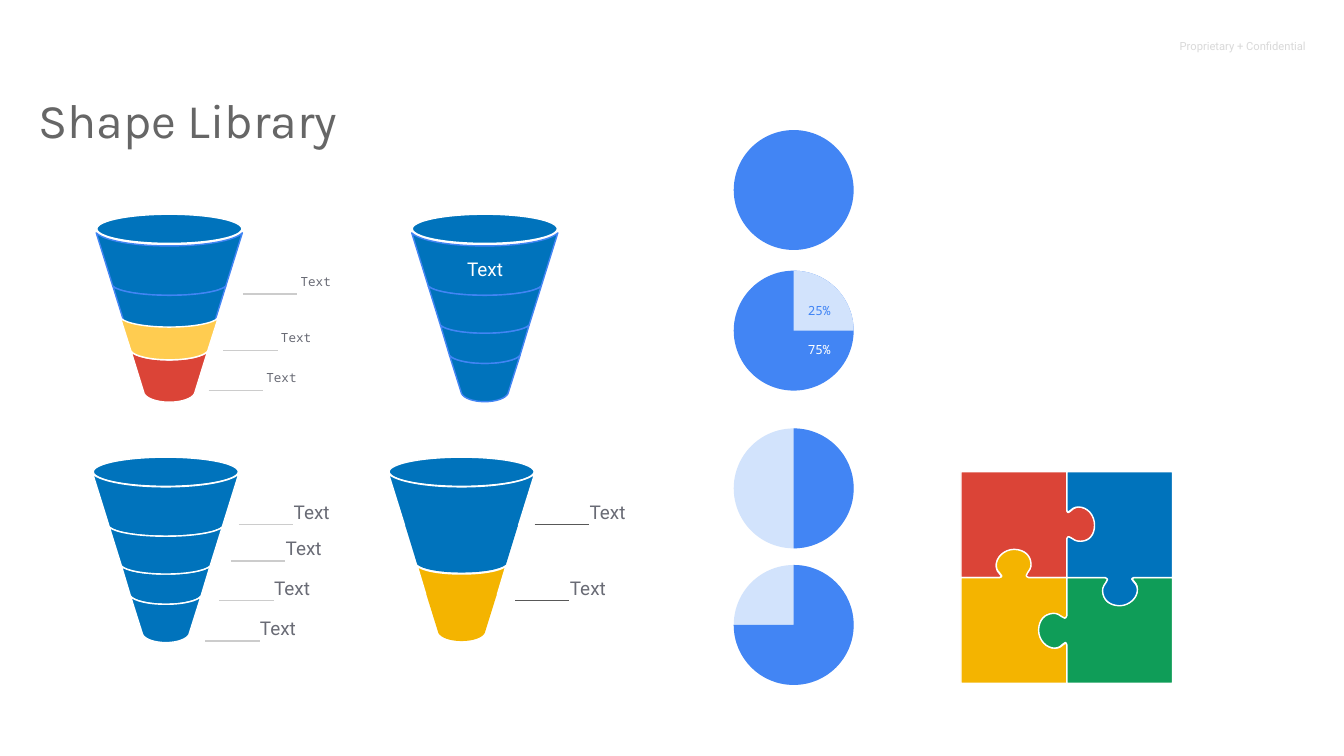
from pptx import Presentation
from pptx.dml.color import RGBColor
from pptx.enum.shapes import MSO_CONNECTOR, MSO_SHAPE
from pptx.enum.text import MSO_ANCHOR, MSO_AUTO_SIZE, PP_ALIGN
from pptx.oxml.ns import qn
from pptx.util import Inches, Pt
from lxml import etree

STRAIGHT, ELLIPSE = MSO_CONNECTOR.STRAIGHT, MSO_SHAPE.OVAL
TOP, MIDDLE = MSO_ANCHOR.TOP, MSO_ANCHOR.MIDDLE
LEFT, CENTER = PP_ALIGN.LEFT, PP_ALIGN.CENTER
NO_AUTOFIT = MSO_AUTO_SIZE.NONE
rgb = RGBColor.from_string

DEEP_BLUE, BLUE, PALE_BLUE = "0073BC", "4285F4", "D2E3FC"
RED, YELLOW, LIGHT_YELLOW, GREEN = "DB4437", "F4B400", "FFCC50", "0F9D58"
WHITE, GREY, LIGHT_GREY, DARK_GREY = "FFFFFF", "696B75", "CCCCCC", "585858"
SANS, MONO = "Roboto", "Noto Sans Mono"

prs = Presentation()
prs.slide_width, prs.slide_height = Inches(26.67), Inches(15)
slide = prs.slides.add_slide(prs.slide_layouts[5])
shapes = slide.shapes


def paint(shape, fill, line=None):
    shape.shadow.inherit = False
    shape.fill.solid()
    shape.fill.fore_color.rgb = rgb(fill)
    if line:
        shape.line.color.rgb = rgb(line)
        shape.line.width = Pt(2)
    else:
        shape.line.fill.background()


def outline(origin, start, segments, fill, line=None):
    """Draw a closed outline; a segment is an end point or a three-point curve."""
    def place(x, y):
        return Inches(origin[0] + x), Inches(origin[1] + y)

    builder = shapes.build_freeform(*place(*start))
    for segment in segments:
        builder.add_line_segments(
            [place(*segment[i:i + 2]) for i in range(0, len(segment), 2)], close=False)
    builder.add_line_segments([], close=True)
    shape = builder.convert_to_shape()
    steps = iter(list(shape.element.iter(qn("a:lnTo"))))
    for segment in segments:
        step = next(steps)
        if len(segment) == 6:
            step.tag = qn("a:cubicBezTo")
            for control in (next(steps), next(steps)):
                step.append(control[0])
                control.getparent().remove(control)
    paint(shape, fill, line)


# Title
title = shapes.title
title.left, title.top, title.width, title.height = map(Inches, (0.49, 1.52, 19.29, 2.2))
title_frame = title.text_frame
title_frame.text = "Shape Library"
title_frame.auto_size = NO_AUTOFIT
title_frame.vertical_anchor = TOP
title_frame.margin_left = title_frame.margin_right = Inches(0.27)
title_frame.margin_top = title_frame.margin_bottom = Inches(0.27)
heading = title_frame.paragraphs[0]
heading.alignment = LEFT
heading.font.name, heading.font.size = "Karla", Pt(69)
heading.font.color.rgb = rgb("666666")

# Funnel rings: half width, depth below the funnel's mouth, sag of the curve
MOUTH, UPPER, MIDDLE_RING = (1.45, 0, 0.26), (1.12, 1.06, 0.18), (0.88, 1.83, 0.16)
LOWER, SPOUT = (0.7, 2.43, 0.16), (0.46, 3.19, 0.16)
WIDE_TOP, WIDE_MIDDLE, WIDE_SPOUT = (0.97, 1.69, 0.18), (0.76, 2.35, 0.17), (0.5, 3.19, 0.17)
RAISED_UPPER, RAISED_MIDDLE = (1.12, 1.02, 0.18), (0.88, 1.8, 0.16)
RAISED_LOWER, RAISED_SPOUT = (0.7, 2.39, 0.16), (0.46, 3.16, 0.16)

# Funnels: centre, top of the rim, mouth, layers from back to front
funnels = [
    (9.62, 4.25, 4.62, [(LOWER, SPOUT, DEEP_BLUE, BLUE), (MIDDLE_RING, LOWER, DEEP_BLUE, BLUE),
                        (MOUTH, UPPER, DEEP_BLUE, BLUE), (UPPER, MIDDLE_RING, DEEP_BLUE, BLUE)]),
    (3.36, 4.25, 4.62, [(MOUTH, UPPER, DEEP_BLUE, BLUE), (UPPER, MIDDLE_RING, DEEP_BLUE, BLUE),
                        (WIDE_MIDDLE, WIDE_SPOUT, RED, WHITE),
                        (WIDE_TOP, WIDE_MIDDLE, LIGHT_YELLOW, WHITE)]),
    (3.29, 9.07, 9.4, [(MIDDLE_RING, LOWER, DEEP_BLUE, WHITE), (MOUTH, UPPER, DEEP_BLUE, WHITE),
                       (UPPER, MIDDLE_RING, DEEP_BLUE, WHITE), (LOWER, SPOUT, DEEP_BLUE, WHITE)]),
    (9.16, 9.07, 9.4, [(MOUTH, UPPER, DEEP_BLUE, WHITE),
                       (RAISED_UPPER, RAISED_MIDDLE, DEEP_BLUE, None),
                       (MIDDLE_RING, LOWER, YELLOW, WHITE),
                       (RAISED_LOWER, RAISED_SPOUT, YELLOW, None)]),
]
for center, rim_top, mouth, layers in funnels:
    rim = shapes.add_shape(ELLIPSE, Inches(center - 1.44), Inches(rim_top),
                           Inches(2.88), Inches(0.58))
    paint(rim, DEEP_BLUE, WHITE)
    for (w, y, s), (w2, y2, s2), fill, line in layers:
        outline((center, mouth), (-w, y), [
            (-0.9 * w, y + 0.57 * s, -0.5 * w, y + s, 0, y + s),
            (0.5 * w, y + s, 0.9 * w, y + 0.57 * s, w, y),
            (w2, y2),
            (0.9 * w2, y2 + 0.57 * s2, 0.5 * w2, y2 + s2, 0, y2 + s2),
            (-0.5 * w2, y2 + s2, -0.9 * w2, y2 + 0.57 * s2, -w2, y2),
        ], fill, line)

# Puzzle: one piece turned around the point where all four meet
piece = [
    (0, -2.1), (0, -1.33),
    (0.04, -1.21, 0.07, -1.39, 0.23, -1.4), (0.39, -1.41, 0.56, -1.25, 0.56, -1.04),
    (0.55, -0.83, 0.43, -0.72, 0.27, -0.71), (0.11, -0.7, 0.05, -0.89, 0, -0.76),
    (0, 0), (-0.77, 0),
    (-0.89, -0.04, -0.71, -0.1, -0.72, -0.27), (-0.72, -0.45, -0.85, -0.55, -1.04, -0.55),
    (-1.24, -0.55, -1.4, -0.41, -1.4, -0.23), (-1.4, -0.06, -1.22, -0.03, -1.33, 0),
    (-2.1, 0),
]
corner = (-2.1, -2.1)
for fill in (RED, YELLOW, GREEN, DEEP_BLUE):
    outline((21.17, 11.46), corner, piece, fill, WHITE)
    # A quarter turn anticlockwise takes (x, y) to (y, -x)
    corner = (corner[1], -corner[0])
    piece = [tuple(value for i in range(0, len(segment), 2)
                   for value in (segment[i + 1], -segment[i])) for segment in piece]

# Pies: top, base colour, sector colour, quarters in the sector
R, K = 1.19, 0.66
quarter_arcs = [(K, -R, R, -K, R, 0), (R, K, K, R, 0, R), (-K, R, -R, K, -R, 0)]
for top, base, sector, quarters in [(2.58, BLUE, None, 0), (5.37, BLUE, PALE_BLUE, 1),
                                    (8.5, PALE_BLUE, BLUE, 2), (11.21, PALE_BLUE, BLUE, 3)]:
    disc = shapes.add_shape(ELLIPSE, Inches(14.56), Inches(top), Inches(2 * R), Inches(2 * R))
    paint(disc, base)
    if quarters:
        outline((14.56 + R, top + R), (0, -R), quarter_arcs[:quarters] + [(0, 0)], sector)

# Labels: text, left, top, font, size, colour, colour of the leader line
labels = [("Text", x, y, SANS, 27, GREY, LIGHT_GREY)
          for x, y in [(5.74, 9.96), (5.58, 10.68), (5.35, 11.47), (5.07, 12.27)]]
labels += [("Text", x, y, SANS, 27, GREY, DARK_GREY) for x, y in [(11.61, 9.96), (11.22, 11.47)]]
labels += [("Text", x, y, MONO, 18, GREY, LIGHT_GREY)
           for x, y in [(5.82, 5.38), (5.43, 6.51), (5.14, 7.3)]]
labels += [("Text", 9.18, 5.15, SANS, 27, WHITE, None),
           ("75%", 15.81, 6.72, MONO, 18, WHITE, None),
           ("25%", 15.81, 5.94, MONO, 18, BLUE, None),
           ("Proprietary + Confidential", 23.14, 0.64, SANS, 16, "D9D9D9", None)]
for text, x, y, font, size, color, leader in labels:
    is_notice = text.startswith("Proprietary")
    width, height, margin = (3.53, 0.8, 0.27) if is_notice else (0.89, 0.42, 0)
    label = shapes.add_textbox(Inches(x), Inches(y), Inches(width), Inches(height))
    frame = label.text_frame
    frame.word_wrap = True
    frame.vertical_anchor = TOP if is_notice else MIDDLE
    frame.margin_left = frame.margin_right = Inches(margin)
    frame.margin_top = frame.margin_bottom = Inches(margin)
    frame.text = text
    paragraph = frame.paragraphs[0]
    paragraph.alignment = LEFT if is_notice else CENTER
    if text == "Text":
        paragraph.line_spacing = 0.95
    paragraph.font.name, paragraph.font.size = font, Pt(size)
    paragraph.font.color.rgb = rgb(color)
    if leader:
        line = shapes.add_connector(STRAIGHT, Inches(x - 1), Inches(y + 0.45),
                                    Inches(x + 0.08), Inches(y + 0.45))
        line.line.color.rgb = rgb(leader)
        line.line.width = Pt(2)
        etree.SubElement(line.element.spPr, qn("a:effectLst"))

prs.save("out.pptx")
